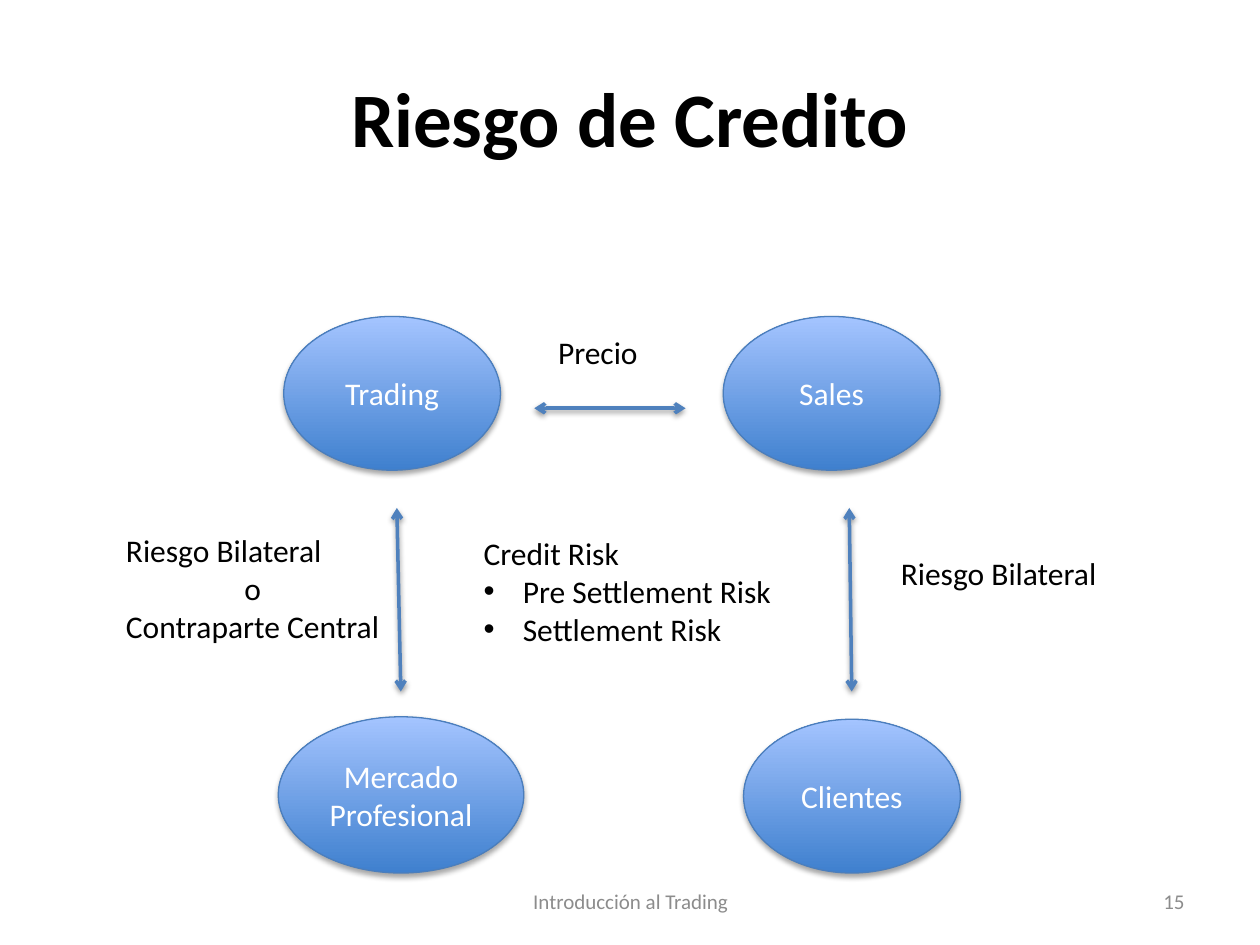
"""Build the credit risk slide: four parties, the links between them and their labels."""
from dataclasses import dataclass

from lxml import etree
from pptx import Presentation
from pptx import util as u
from pptx.dml.color import RGBColor
from pptx.enum import shapes, text
from pptx.oxml import ns

ALIGN = text.PP_ALIGN
ANCHOR = text.MSO_ANCHOR
BLACK, WHITE, GREY = "000000", "FFFFFF", "8C8C8C"
LINK_BLUE, OUTLINE_BLUE = "4F81BD", "4B7EBC"
GRADIENT = ("3F80CE", "A4C4FF")
BULLET_INDENT = u.Cm(0.79)


@dataclass
class Box:
    left: float
    top: float
    width: float
    height: float

    def lengths(self) -> tuple:
        return tuple(u.Cm(value) for value in (self.left, self.top, self.width, self.height))


@dataclass
class Party:
    lines: list[str]
    box: Box


@dataclass
class Link:
    start: tuple[float, float]
    end: tuple[float, float]


@dataclass
class Line:
    words: str
    alignment: ALIGN = ALIGN.LEFT
    bullet: bool = False


@dataclass
class Label:
    lines: list[Line]
    box: Box
    size: int = 18
    color: str = BLACK
    wrap: bool = False
    anchor: ANCHOR = ANCHOR.TOP


PARTIES = [
    Party(["Sales"], Box(14.58, 6.38, 4.37, 3.1)),
    Party(["Trading"], Box(5.72, 6.38, 4.37, 3.1)),
    Party(["Mercado", "Profesional"], Box(5.61, 14.45, 4.95, 3.15)),
    Party(["Clientes"], Box(14.99, 14.5, 4.37, 3.1)),
]
LINKS = [
    Link((8, 10.24), (8.08, 13.94)),
    Link((17.12, 10.24), (17.17, 13.94)),
    Link((10.77, 8.23), (13.82, 8.23)),
]
FOOTER = {"size": 12, "color": GREY, "wrap": True, "anchor": ANCHOR.MIDDLE}
LABELS = [
    Label([Line("Riesgo Bilateral"), Line("o", ALIGN.CENTER), Line("Contraparte Central")],
          Box(2.29, 10.59, 5.72, 2.57)),
    Label([Line("Riesgo Bilateral")], Box(17.91, 11.05, 4.5, 1.02)),
    Label([Line("Precio")], Box(11, 6.58, 2.13, 1.02)),
    Label([Line("Credit Risk"), Line("Pre Settlement Risk", bullet=True),
           Line("Settlement Risk", bullet=True)], Box(9.5, 10.64, 6.4, 2.57)),
    Label([Line("Introducción al Trading", ALIGN.CENTER)], Box(8.69, 17.65, 8.05, 1.02), **FOOTER),
    Label([Line("15", ALIGN.RIGHT)], Box(18.21, 17.65, 5.92, 1.02), **FOOTER),
]


def rgb(color: str) -> RGBColor:
    return RGBColor.from_string(color)


def apply_format(target, values: dict) -> None:
    for name, value in values.items():
        setattr(target, name, value)


def add_element(parent, tag: str, **attributes):
    element = etree.SubElement(parent, ns.qn(tag))
    for name, value in attributes.items():
        element.set(name, str(value))
    return element


def add_shadow(shape, opacity: int, distance: float) -> None:
    effects = add_element(shape._element.spPr, "a:effectLst")
    shadow = add_element(effects, "a:outerShdw", blurRad=u.Pt(3.1), dist=u.Pt(distance),
                         dir=90 * 60000, rotWithShape=0)
    color = add_element(shadow, "a:srgbClr", val=BLACK)
    add_element(color, "a:alpha", val=opacity * 1000)


def write_lines(frame, lines: list[Line], size: int, color: str, bold: bool = False) -> None:
    for index, line in enumerate(lines):
        paragraph = frame.add_paragraph() if index else frame.paragraphs[0]
        paragraph.text = line.words
        paragraph.alignment = line.alignment
        if line.bullet:
            properties = paragraph._p.get_or_add_pPr()
            properties.set("marL", str(BULLET_INDENT))
            properties.set("indent", str(-BULLET_INDENT))
            add_element(properties, "a:buFont", typeface="Arial")
            add_element(properties, "a:buChar", char="•")
        font = paragraph.runs[0].font
        apply_format(font, {"name": "Calibri", "size": u.Pt(size), "bold": bold})
        font.color.rgb = rgb(color)


def add_title(slide, words: str) -> None:
    title = slide.shapes.title
    names = ("left", "top", "width", "height")
    apply_format(title, dict(zip(names, Box(1.27, 0.76, 22.86, 3.18).lengths())))
    title.text_frame.vertical_anchor = ANCHOR.MIDDLE
    write_lines(title.text_frame, [Line(words, ALIGN.CENTER)], 44, BLACK, True)


def add_party(slide, party: Party) -> None:
    shape = slide.shapes.add_shape(shapes.MSO_SHAPE.OVAL, *party.box.lengths())
    shape.fill.gradient()
    shape.fill.gradient_angle = 90
    for position, (stop, color) in enumerate(zip(shape.fill.gradient_stops, GRADIENT)):
        stop.position = position
        stop.color.rgb = rgb(color)
    shape.line.color.rgb = rgb(OUTLINE_BLUE)
    shape.line.width = u.Pt(0.75)
    add_shadow(shape, 35, 1.8)
    shape.text_frame.vertical_anchor = ANCHOR.MIDDLE
    write_lines(shape.text_frame, [Line(words, ALIGN.CENTER) for words in party.lines], 18, WHITE)


def add_link(slide, link: Link) -> None:
    ends = [u.Cm(value) for value in (*link.start, *link.end)]
    connector = slide.shapes.add_connector(shapes.MSO_CONNECTOR.STRAIGHT, *ends)
    connector.line.color.rgb = rgb(LINK_BLUE)
    connector.line.width = u.Pt(2)
    for tag in ("a:headEnd", "a:tailEnd"):
        add_element(connector.line._get_or_add_ln(), tag, type="arrow")
    add_shadow(connector, 38, 1.6)


def add_label(slide, label: Label) -> None:
    frame = slide.shapes.add_textbox(*label.box.lengths()).text_frame
    apply_format(frame, {"word_wrap": label.wrap, "vertical_anchor": label.anchor})
    if not label.wrap:
        frame.auto_size = text.MSO_AUTO_SIZE.SHAPE_TO_FIT_TEXT
    write_lines(frame, label.lines, label.size, label.color)


def main() -> None:
    presentation = Presentation()
    apply_format(presentation, {"slide_width": u.Cm(25.4), "slide_height": u.Cm(19.05)})
    slide = presentation.slides.add_slide(presentation.slide_layouts.get_by_name("Title Only"))
    add_title(slide, "Riesgo de Credito")
    for party in PARTIES:
        add_party(slide, party)
    for link in LINKS:
        add_link(slide, link)
    for label in LABELS:
        add_label(slide, label)
    presentation.save("out.pptx")


if __name__ == "__main__":
    main()
